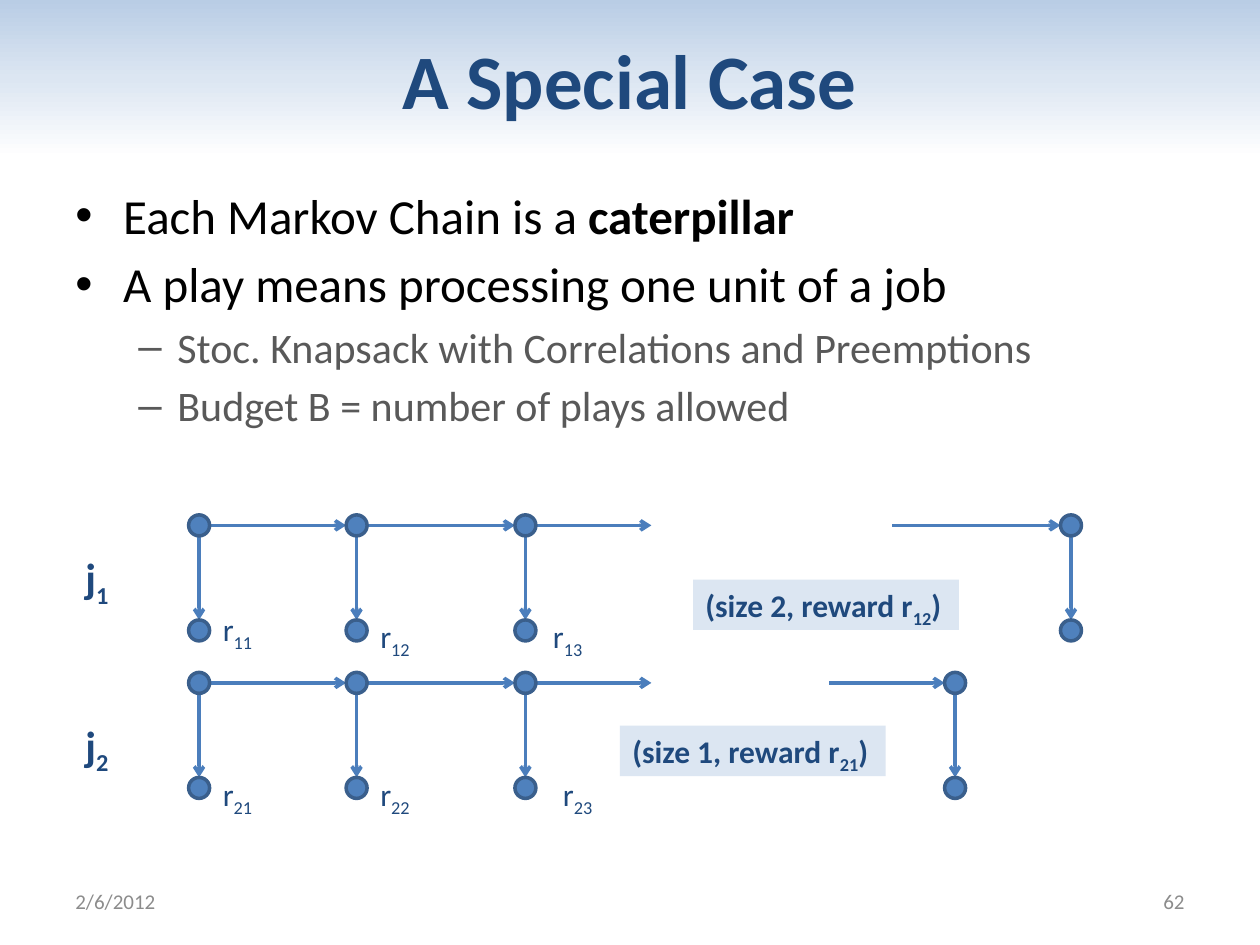
import copy
from dataclasses import dataclass

import pptx
import pptx.dml.color
import pptx.enum.shapes
import pptx.enum.text
import pptx.oxml.ns
import pptx.oxml.xmlchemy
import pptx.util
from pptx.util import Inches, Pt

NAVY, PALE = "1F497D", "DCE6F2"
NODE_FILL, NODE_EDGE, ARROW = "4F81BD", "3A5F8C", "4B7EBC"
BLACK, DARK_GRAY, GRAY = "000000", "595959", "8C8C8C"
RADIUS = 1 / 12
CHAIN_HEIGHT = 5 / 6
SPINE_X = (1.58, 2.83, 4.17)
BREAK_X = 5.17
BASELINE = {"normal": "0", "subscript": "-25000"}


@dataclass
class Run:
    text: str
    bold: bool = False
    baseline: str = ""


@dataclass
class Bullet:
    runs: list[Run]
    level: int
    symbol: str
    size: int
    color: str
    margin: float
    hanging: float


@dataclass
class Chain:
    number: int
    y: float
    resume_x: float
    last_x: float
    name_y: float
    reward_positions: list[tuple[float, float]]


@dataclass
class Callout:
    x: float
    y: float
    size: int
    reward: str


BULLETS = [
    Bullet([Run("Each Markov Chain is a "), Run("caterpillar", True)], 0, "•", 28, BLACK, 0.38, 0.38),
    Bullet([Run("A play means processing one unit of a job")], 0, "•", 28, BLACK, 0.38, 0.38),
    Bullet([Run("Stoc. Knapsack with Correlations and Preemptions")], 1, "–", 24, DARK_GRAY, 0.81, 0.31),
    Bullet([Run("Budget B = number of plays allowed")], 1, "–", 24, DARK_GRAY, 0.81, 0.31),
]
CHAINS = [
    Chain(1, 4.17, 7.08, 8.5, 4.33, [(1.67, 4.79), (2.92, 4.85), (4.29, 4.85)]),
    Chain(2, 5.42, 6.58, 7.58, 5.66, [(1.67, 6.1), (2.92, 6.1), (4.37, 6.1)]),
]
CALLOUTS = [Callout(5.5, 4.6, 2, "12"), Callout(4.92, 5.76, 1, "21")]


def rgb(color: str):
    return pptx.dml.color.RGBColor.from_string(color)


def add_runs(paragraph, runs: list[Run], size: int, color: str) -> None:
    for item in runs:
        run = paragraph.add_run()
        run.text = item.text
        run.font.name = "Calibri"
        run.font.size = Pt(size)
        run.font.bold = item.bold
        run.font.color.rgb = rgb(color)
        if item.baseline:
            run.font._element.set("baseline", BASELINE[item.baseline])


def add_label(slide, x: float, y: float, width: float, height: float,
              runs: list[Run], size: int, color: str = NAVY):
    """Add an unwrapped text box that fits its text."""
    box = slide.shapes.add_textbox(Inches(x), Inches(y), Inches(width), Inches(height))
    box.text_frame.word_wrap = False
    box.text_frame.auto_size = pptx.enum.text.MSO_AUTO_SIZE.SHAPE_TO_FIT_TEXT
    add_runs(box.text_frame.paragraphs[0], runs, size, color)
    return box


def add_title(slide) -> None:
    banner = slide.shapes.add_shape(
        pptx.enum.shapes.MSO_SHAPE.RECTANGLE, 0, 0, Inches(10), Inches(1.25))
    banner.shadow.inherit = False
    banner.line.fill.background()
    banner.fill.gradient()
    banner.fill.gradient_angle = 270
    stops = banner._element.spPr.find(".//" + pptx.oxml.ns.qn("a:gsLst"))
    stops.insert(1, copy.deepcopy(stops[0]))
    for stop, position, color in zip(banner.fill.gradient_stops, (0, 0.5, 1),
                                     ("B9CDE5", PALE, "FFFFFF")):
        stop.position = position
        stop.color.rgb = rgb(color)
    banner.text_frame.vertical_anchor = pptx.enum.text.MSO_ANCHOR.MIDDLE
    paragraph = banner.text_frame.paragraphs[0]
    paragraph.alignment = pptx.enum.text.PP_ALIGN.CENTER
    add_runs(paragraph, [Run("A Special Case", True)], 44, NAVY)


def add_body(slide) -> None:
    box = slide.shapes.add_textbox(Inches(0.5), Inches(1.42), Inches(9), Inches(4.95))
    frame = box.text_frame
    frame.word_wrap = True
    for index, bullet in enumerate(BULLETS):
        paragraph = frame.add_paragraph() if index else frame.paragraphs[0]
        paragraph.level = bullet.level
        if index:
            paragraph.space_before = Pt(0.2 * bullet.size)
        properties = paragraph._p.get_or_add_pPr()
        properties.set("marL", str(Inches(bullet.margin)))
        properties.set("indent", str(-Inches(bullet.hanging)))
        font = properties.makeelement(pptx.oxml.ns.qn("a:buFont"), {"typeface": "Arial"})
        symbol = properties.makeelement(pptx.oxml.ns.qn("a:buChar"), {"char": bullet.symbol})
        properties.extend([font, symbol])
        add_runs(paragraph, bullet.runs, bullet.size, bullet.color)


def add_footer(slide, x: float, text: str, alignment) -> None:
    box = slide.shapes.add_textbox(Inches(x), Inches(6.95), Inches(2.33), Inches(0.4))
    box.text_frame.word_wrap = True
    box.text_frame.vertical_anchor = pptx.enum.text.MSO_ANCHOR.MIDDLE
    paragraph = box.text_frame.paragraphs[0]
    paragraph.alignment = alignment
    add_runs(paragraph, [Run(text)], 12, GRAY)


def add_node(slide, x: float, y: float) -> None:
    """Add a circle centred on x, y."""
    node = slide.shapes.add_shape(
        pptx.enum.shapes.MSO_SHAPE.OVAL, Inches(x - RADIUS), Inches(y - RADIUS),
        Inches(2 * RADIUS), Inches(2 * RADIUS))
    node.shadow.inherit = False
    node.fill.solid()
    node.fill.fore_color.rgb = rgb(NODE_FILL)
    node.line.color.rgb = rgb(NODE_EDGE)
    node.line.width = Pt(2)


def add_arrow(slide, x1: float, y1: float, x2: float, y2: float) -> None:
    arrow = slide.shapes.add_connector(
        pptx.enum.shapes.MSO_CONNECTOR.STRAIGHT,
        Inches(x1), Inches(y1), Inches(x2), Inches(y2))
    arrow.line.color.rgb = rgb(ARROW)
    arrow.line.width = Pt(2)
    line = arrow.line._get_or_add_ln()
    line.append(line.makeelement(pptx.oxml.ns.qn("a:tailEnd"), {"type": "arrow"}))
    properties = arrow._element.spPr
    properties.append(properties.makeelement(pptx.oxml.ns.qn("a:effectLst"), {}))


def add_chain(slide, chain: Chain) -> None:
    bottom = chain.y + CHAIN_HEIGHT
    targets = [x - RADIUS for x in SPINE_X[1:]] + [BREAK_X, chain.last_x - RADIUS]
    starts = [x + RADIUS for x in SPINE_X] + [chain.resume_x]
    for start, target in zip(starts, targets):
        add_arrow(slide, start, chain.y, target, chain.y)
    for x in (*SPINE_X, chain.last_x):
        add_arrow(slide, x, chain.y + RADIUS, x, bottom - RADIUS)
        add_node(slide, x, chain.y)
        add_node(slide, x, bottom)
    add_label(slide, 0.58, chain.name_y, 0.4, 0.5,
              [Run("j", True), Run(str(chain.number), True, "subscript")], 24)
    for step, (x, y) in enumerate(chain.reward_positions, start=1):
        add_label(slide, x, y, 0.46, 0.4,
                  [Run("r"), Run(f"{chain.number}{step}", False, "subscript")], 18)


def add_callout(slide, callout: Callout) -> None:
    runs = [Run(f"(size {callout.size}, reward r", True),
            Run(callout.reward, True, "subscript"), Run(")", True, "normal")]
    box = add_label(slide, callout.x, callout.y, 2.11, 0.4, runs, 18)
    box.fill.solid()
    box.fill.fore_color.rgb = rgb(PALE)


def main() -> None:
    presentation = pptx.Presentation()
    presentation.slide_width = Inches(10)
    presentation.slide_height = Inches(7.5)
    slide = presentation.slides.add_slide(presentation.slide_layouts[6])
    add_title(slide)
    add_body(slide)
    add_footer(slide, 0.5, "2/6/2012", pptx.enum.text.PP_ALIGN.LEFT)
    add_footer(slide, 7.17, "62", pptx.enum.text.PP_ALIGN.RIGHT)
    for chain in CHAINS:
        add_chain(slide, chain)
    for callout in CALLOUTS:
        add_callout(slide, callout)
    presentation.save("out.pptx")


if __name__ == "__main__":
    main()
